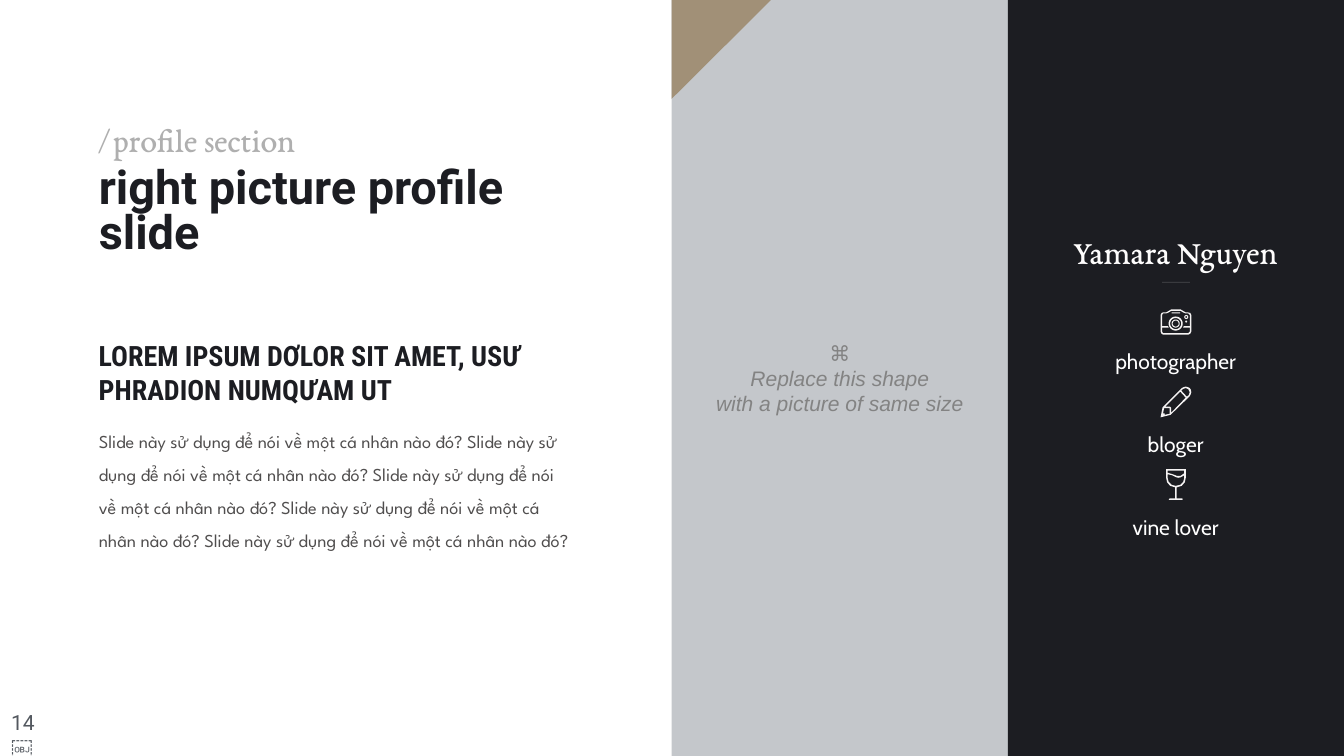
"""Build a profile slide with a picture panel and a dark panel of interests."""
from math import cos, pi, sin

from lxml import etree
from pptx import Presentation
from pptx.dml.color import RGBColor
from pptx.enum.shapes import MSO_CONNECTOR, MSO_SHAPE
from pptx.enum.text import MSO_ANCHOR, MSO_AUTO_SIZE, PP_ALIGN
from pptx.oxml.ns import qn
from pptx.util import Inches, Pt

RECT, STRAIGHT = MSO_SHAPE.RECTANGLE, MSO_CONNECTOR.STRAIGHT
LEFT, CENTER = PP_ALIGN.LEFT, PP_ALIGN.CENTER
TOP, MIDDLE = MSO_ANCHOR.TOP, MSO_ANCHOR.MIDDLE
NO_FIT = MSO_AUTO_SIZE.NONE

COLORS = {
    "dark": "1C1D22", "panel": "C4C7CB", "gold": "A19077", "hint": "838383",
    "section": "AFAFAF", "body": "504E4E", "icon": "F5F3F3", "white": "FFFFFF",
    "name": "FEFDFD", "number": "53585F",
}
STYLES = {
    "hint": {"name": "Arial", "size": Pt(30), "italic": True},
    "section": {"name": "EB Garamond", "size": Pt(48)},
    "title": {"name": "Roboto", "size": Pt(67), "bold": True},
    "heading": {"name": "Roboto Condensed", "size": Pt(40), "bold": True},
    "body": {"name": "League Spartan", "size": Pt(26)},
    "interest": {"name": "Cabin", "size": Pt(30)},
    "number": {"name": "Roboto", "size": Pt(30)},
}


def write(sp, lines, style, color, align=LEFT, anchor=TOP, inset=0, spacing=1.0):
    tf = sp.text_frame
    frame = {"word_wrap": True, "auto_size": NO_FIT, "vertical_anchor": anchor}
    for side in ("left", "top", "right", "bottom"):
        frame["margin_" + side] = Inches(inset)
    for key, value in frame.items():
        setattr(tf, key, value)
    for i, line in enumerate(lines):
        p = tf.paragraphs[0] if i == 0 else tf.add_paragraph()
        p.alignment, p.line_spacing, p.space_before = align, spacing, Pt(0)
        r = p.add_run()
        r.text = line
        for key, value in STYLES[style].items():
            setattr(r.font, key, value)
        r.font.color.rgb = RGBColor.from_string(COLORS[color])


def draw(contours, color):
    outlines = [[(Inches(x), Inches(y)) for x, y in c] for c in contours]
    fb = s.shapes.build_freeform(*outlines[0][0], scale=1.0)
    for i, points in enumerate(outlines):
        if i:
            fb.move_to(*points[0])
        fb.add_line_segments(points[1:], close=True)
    sp = fb.convert_to_shape()
    sp.shadow.inherit = False
    sp.fill.solid()
    sp.fill.fore_color.rgb = RGBColor.from_string(COLORS[color])
    sp.line.fill.background()


prs = Presentation()
prs.slide_width, prs.slide_height = Inches(26.67), Inches(15)
s = prs.slides.add_slide(prs.slide_layouts[0])

sentence = "Slide này sử dụng để nói về một cá nhân nào đó?"
title, body = s.shapes.title, s.placeholders[1]
for sp, top, height in ((title, 3.35, 2.78), (body, 8.33, 5.75)):
    sp.left, sp.top, sp.width, sp.height = map(Inches, (1.96, top, 9.37, height))
write(title, ["right picture profile slide"], "title", "dark", spacing=0.8)
write(body, [" ".join([sentence] * 5)], "body", "body", spacing=1.5)

panels = {}
for color, left in (("panel", 13.33), ("dark", 20)):
    sp = s.shapes.add_shape(RECT, Inches(left), 0, Inches(6.67), Inches(15))
    sp.shadow.inherit = False
    sp.fill.solid()
    sp.fill.fore_color.rgb = RGBColor.from_string(COLORS[color])
    sp.line.fill.background()
    panels[color] = sp
hint = ["⌘", "Replace this shape", "with a picture of same size"]
write(panels["panel"], hint, "hint", "hint", CENTER, MIDDLE, 0.04)
draw([[(13.33, 0), (15.3, 0), (13.33, 1.96)]], "gold")

heading = "LOREM IPSUM DƠLOR SIT AMET, USƯ PHRADION NUMQƯAM UT"
texts = [
    ((1.96, 2.52, 9.37, 0.83), "/ profile section", "section", "section", LEFT, TOP, 0, 0.8),
    ((1.96, 6.69, 9.37, 1.39), heading, "heading", "dark", LEFT, MIDDLE),
    ((20.83, 4.45, 5, 1.06), "Yamara Nguyen", "section", "name", CENTER, MIDDLE),
    ((0.16, 14.28, 0.69, 0.6), "14￼", "number", "number", LEFT, MIDDLE, 0.06),
]
for i, interest in enumerate(("photographer", "bloger", "vine lover")):
    texts.append(((20.83, 6.92 + 1.64 * i, 5, 0.5), interest, "interest", "white", CENTER))
for box, text, *look in texts:
    write(s.shapes.add_textbox(*map(Inches, box)), [text], *look)

rule = s.shapes.add_connector(STRAIGHT, Inches(23.06), Inches(5.6), Inches(23.61), Inches(5.6))
rule.line.width = Pt(1)
rule.line.color.rgb = RGBColor.from_string(COLORS["white"])
clr = rule.line._get_or_add_ln().find(".//" + qn("a:srgbClr"))
etree.SubElement(clr, qn("a:alpha"), val="20000")
etree.SubElement(rule._element.spPr, qn("a:effectLst"))

camera = [
    [(23.03, 6.25), (23.05, 6.21), (23.08, 6.2), (23.14, 6.2), (23.19, 6.17), (23.24, 6.14),
     (23.43, 6.14), (23.48, 6.17), (23.53, 6.2), (23.58, 6.2), (23.62, 6.21), (23.64, 6.25),
     (23.64, 6.58), (23.62, 6.62), (23.58, 6.64), (23.08, 6.64), (23.05, 6.62), (23.03, 6.58)],
    [(23.61, 6.47), (23.49, 6.47), (23.48, 6.5), (23.61, 6.5), (23.61, 6.58), (23.58, 6.61),
     (23.08, 6.61), (23.06, 6.58), (23.06, 6.5), (23.19, 6.5), (23.18, 6.47), (23.06, 6.47),
     (23.06, 6.25), (23.08, 6.22), (23.14, 6.22), (23.19, 6.2), (23.24, 6.17), (23.43, 6.17),
     (23.48, 6.2), (23.53, 6.22), (23.58, 6.22), (23.61, 6.25)],
    [(23.25, 6.2), (23.42, 6.2), (23.42, 6.22), (23.25, 6.22)],
]
lenses = [(23.33, 6.42, r) for r in (0.14, 0.11, 0.08, 0.06)]
buttons = [(23.54, 6.29, 0.04), (23.54, 6.29, 0.02), (23.54, 6.38, 0.02)]
for x, y, radius in lenses + buttons:
    angles = [k * pi / 16 for k in range(32)]
    camera.append([(x + radius * cos(a), y + radius * sin(a)) for a in angles])

pencil = [
    [(23.53, 7.67), (23.49, 7.68), (23.45, 7.7), (23.07, 8.08), (23.03, 8.28), (23.23, 8.23),
     (23.61, 7.86), (23.63, 7.82), (23.64, 7.78), (23.63, 7.73), (23.61, 7.7), (23.57, 7.68)],
    [(23.59, 7.84), (23.55, 7.87), (23.44, 7.75), (23.47, 7.72), (23.53, 7.7), (23.58, 7.72),
     (23.61, 7.78)],
    [(23.24, 8.19), (23.24, 8.09), (23.22, 8.07), (23.12, 8.07), (23.42, 7.77), (23.53, 7.89)],
    [(23.21, 8.21), (23.11, 8.23), (23.11, 8.2), (23.08, 8.2), (23.1, 8.1), (23.21, 8.1)],
]
glass = [
    [(23.14, 9.31), (23.53, 9.31), (23.53, 9.48), (23.51, 9.57), (23.45, 9.64), (23.35, 9.67),
     (23.35, 9.89), (23.46, 9.89), (23.47, 9.91), (23.46, 9.92), (23.21, 9.92), (23.19, 9.91),
     (23.21, 9.89), (23.32, 9.89), (23.32, 9.67), (23.22, 9.64), (23.16, 9.57), (23.14, 9.48)],
    [(23.17, 9.34), (23.5, 9.34), (23.5, 9.39), (23.43, 9.44), (23.35, 9.44), (23.27, 9.41),
     (23.17, 9.38)],
    [(23.17, 9.41), (23.26, 9.43), (23.34, 9.47), (23.38, 9.48), (23.43, 9.47), (23.5, 9.43),
     (23.5, 9.48), (23.48, 9.56), (23.42, 9.62), (23.33, 9.64), (23.25, 9.62), (23.19, 9.56),
     (23.17, 9.48)],
]
for icon in (camera, pencil, glass):
    draw(icon, "icon")

prs.save("out.pptx")
